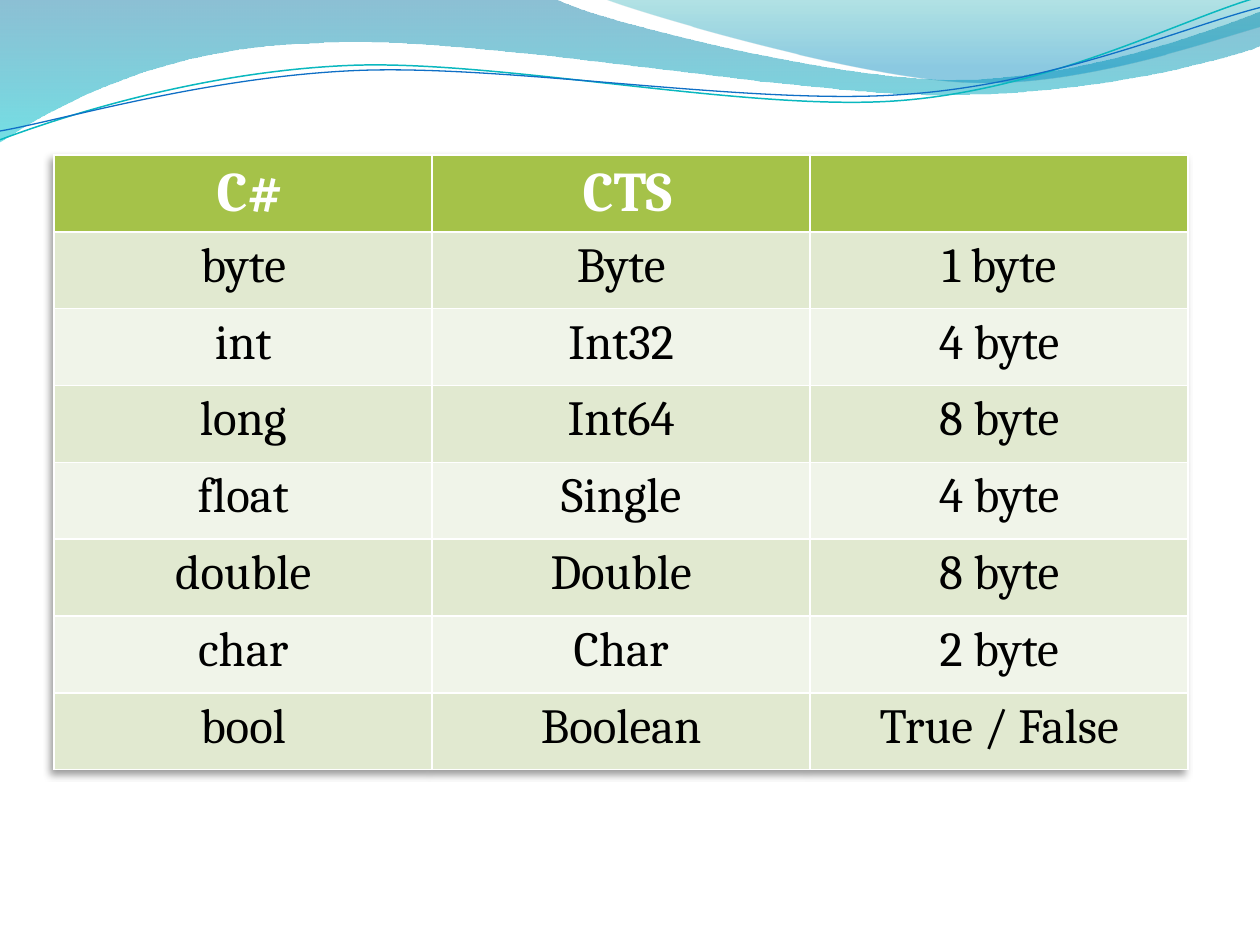
from lxml.etree import SubElement
from pptx import Presentation
from pptx.dml.color import RGBColor
from pptx.enum.text import MSO_ANCHOR as Anchor, PP_ALIGN as Align
from pptx.oxml import parse_xml
from pptx.oxml.ns import nsdecls, qn
from pptx.util import Inches, Pt

COLORS = {
    "white": "FFFFFF", "black": "000000",
    "header": "A5C249", "odd row": "E1E9D0", "even row": "F0F4E9",
    "deep blue": "0074A1", "cyan": "00C6CF",
    "teal": "00A1A9", "sky": "008BBF",
    "teal line": "0AB8BF", "blue line": "0F6FC6",
}
FONT = "Cambria"
UNITS = 1000  # path units per tenth of the slide width

# Each wave is a start point, then steps: 2 numbers for a line, 6 for a curve.
BANDS = [
    ([(0, 0), (4.4, -0.01), (4.76, 0.17, 6.64, 0.63, 7.58, 0.63),
      (8.53, 0.63, 9.58, 0.26, 10, 0.09), (10.01, 0.36),
      (9.83, 0.44, 8.7, 0.76, 7.46, 0.75), (6.22, 0.75, 3.82, 0.28, 2.57, 0.34),
      (1.29, 0.36, 0.46, 0.83, -0.01, 1.13)],
     [(0, "deep blue", 45), (1, "cyan", 55)]),
    ([(4.79, -0.01), (5.09, 0.11, 6.82, 0.62, 7.69, 0.65),
      (8.56, 0.69, 9.61, 0.32, 10, 0.21), (10, 0)],
     [(0, "teal", 30), (0.8, "sky", 45)]),
]
STRANDS = [
    ([(0, 1.11), (0.48, 0.93, 1.58, 0.57, 2.77, 0.52),
      (3.95, 0.47, 5.93, 0.89, 7.13, 0.8), (8.33, 0.71, 9.38, 0.15, 9.98, -0.02)],
     "teal line", 0.85),
    ([(0, 1.04), (0.47, 0.96, 1.64, 0.61, 2.83, 0.56),
      (4.03, 0.51, 5.97, 0.84, 7.17, 0.75), (8.36, 0.67, 9.41, 0.21, 10, 0.06)],
     "blue line", 0.75),
]
TYPES = [
    ("C#", "CTS", ""),
    ("byte", "Byte", "1 byte"),
    ("int", "Int32", "4 byte"),
    ("long", "Int64", "8 byte"),
    ("float", "Single", "4 byte"),
    ("double", "Double", "8 byte"),
    ("char", "Char", "2 byte"),
    ("bool", "Boolean", "True / False"),
]


def color(name):
    return RGBColor.from_string(COLORS[name])


def add_wave(slide, box, steps, close):
    """Build the outline from its end points, then bend the curved segments."""
    left, top, width = box
    steps = [[round(value * UNITS) for value in step] for step in steps]
    ends = [step[-2:] for step in steps]
    builder = slide.shapes.build_freeform(*ends[0], scale=width / 10 / UNITS)
    builder.add_line_segments(ends[1:], close=close)
    shape = builder.convert_to_shape(left, top)
    shape.shadow.inherit = False
    origin = [min(axis) for axis in zip(*ends)]
    segments = list(shape._element.iter(qn("a:lnTo")))
    for segment, step in zip(segments, steps[1:]):
        if len(step) == 6:
            curve = parse_xml(f'<a:cubicBezTo {nsdecls("a")}/>')
            for x, y in zip(step[::2], step[1::2]):
                SubElement(curve, qn("a:pt"), x=str(x - origin[0]), y=str(y - origin[1]))
            segment.getparent().replace(segment, curve)
    return shape


def add_waves(slide, box):
    # Translucent bands
    for steps, stops in BANDS:
        shape = add_wave(slide, box, steps, close=True)
        shape.line.fill.background()
        shape.fill.gradient()
        shape.fill.gradient_angle = 270
        for stop, (position, name, _) in zip(shape.fill.gradient_stops, stops):
            stop.position = position
            stop.color.rgb = color(name)
        elements = list(shape._element.spPr.iter(qn("a:srgbClr")))
        for element, (_, _, opacity) in zip(elements, stops):
            SubElement(element, qn("a:alpha"), val=str(opacity * 1000))
    # Thin strands
    for steps, name, weight in STRANDS:
        shape = add_wave(slide, box, steps, close=False)
        shape.fill.background()
        shape.line.color.rgb = color(name)
        shape.line.width = Pt(weight)


def write_text(cell, text, size=28, bold=False, name="black"):
    cell.vertical_anchor = Anchor.TOP
    paragraph = cell.text_frame.paragraphs[0]
    paragraph.alignment = Align.CENTER
    if not text:
        return
    run = paragraph.add_run()
    run.text = text
    run.font.name = FONT
    run.font.size = Pt(size)
    run.font.bold = bold
    run.font.color.rgb = color(name)


def add_type_table(slide, box):
    # The default table style supplies the white cell borders
    table = slide.shapes.add_table(len(TYPES), len(TYPES[0]), *box).table
    table._tbl.tblPr.insert(0, parse_xml(
        f'<a:effectLst {nsdecls("a")}><a:outerShdw blurRad="50800" dist="38100" '
        'dir="8100000" algn="tr" rotWithShape="0"><a:srgbClr val="000000">'
        '<a:alpha val="40000"/></a:srgbClr></a:outerShdw></a:effectLst>'))
    for row, texts in enumerate(TYPES):
        header = row == 0
        fill = "header" if header else "odd row" if row % 2 else "even row"
        for column, text in enumerate(texts):
            cell = table.cell(row, column)
            cell.fill.solid()
            cell.fill.fore_color.rgb = color(fill)
            if header:
                cell.margin_left, cell.margin_bottom = Inches(0.2), Inches(0.02)
                write_text(cell, text, size=32, bold=True, name="white")
            else:
                write_text(cell, text)


presentation = Presentation()
presentation.slide_width, presentation.slide_height = Inches(10), Inches(7.5)
slide = presentation.slides.add_slide(presentation.slide_layouts[6])
add_waves(slide, (0, 0, presentation.slide_width))
add_type_table(slide, (Inches(0.43), Inches(1.23), Inches(9), Inches(0.61 * len(TYPES))))
presentation.save("out.pptx")
